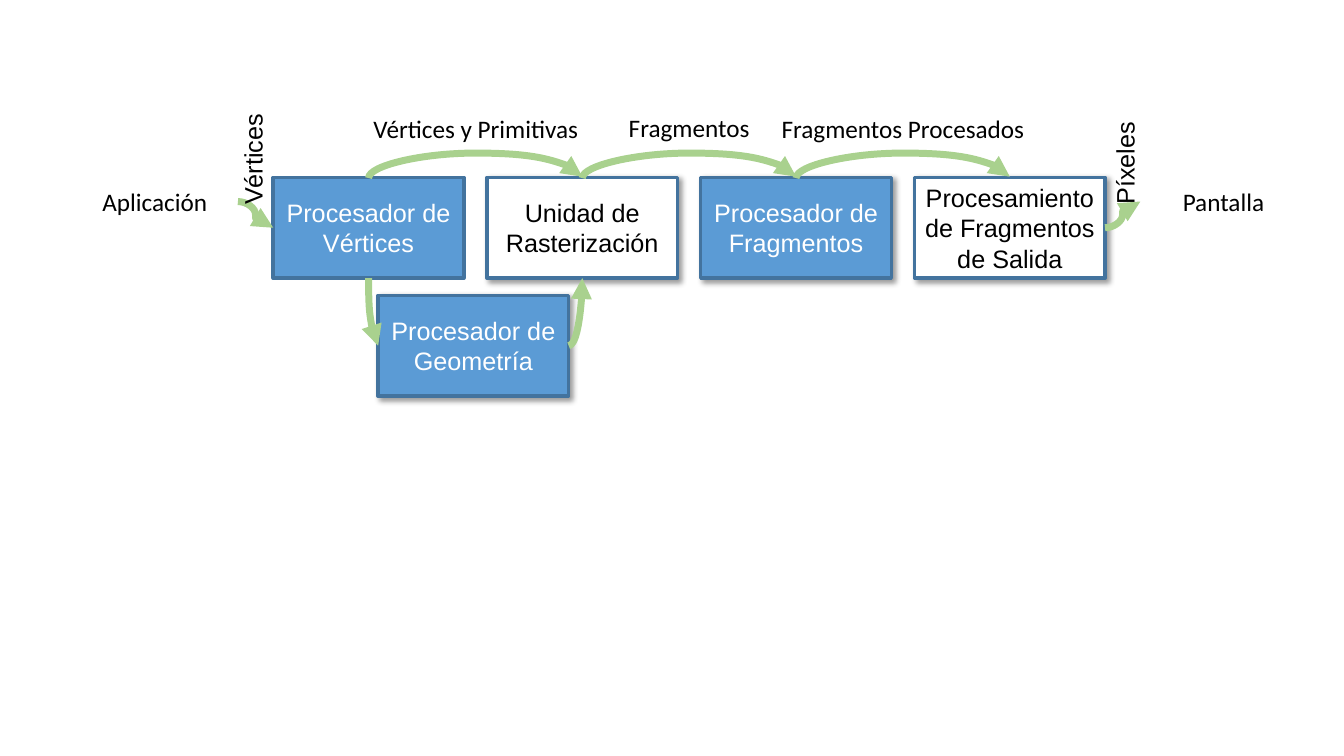
from lxml.etree import SubElement
from pptx import Presentation
from pptx.dml.color import RGBColor
from pptx.enum.shapes import MSO_CONNECTOR as CONNECTOR, MSO_SHAPE as SHAPE
from pptx.enum.text import MSO_ANCHOR as ANCHOR, MSO_AUTO_SIZE as AUTO_SIZE, PP_ALIGN as ALIGN
from pptx.oxml.ns import qn
from pptx.util import Inches, Pt

BLUE, WHITE, BLACK = "5B9BD5", "FFFFFF", "000000"
BORDER, GREEN = "43739E", "A9D18E"
STAGE_W, STAGE_H, PITCH = 1.89, 1, 2.12
FIRST_LEFT, STAGE_TOP = 2.71, 1.76
TOP, LEFT, BOTTOM, RIGHT = range(4)

# name, programmable
STAGES = [
    ("Procesador de Vértices", True),
    ("Unidad de Rasterización", False),
    ("Procesador de Fragmentos", True),
    ("Procesamiento de Fragmentos de Salida", False),
]
GEOMETRY = ("Procesador de Geometría", True)
# name, left
ENDPOINTS = [("Aplicación", 0.71), ("Pantalla", 11.31)]
# text, left, top, width, font, rotation
DATA_LABELS = [
    ("Vértices y Primitivas", 3.59, 1.08, 2.26, "Calibri", 0),
    ("Fragmentos", 6.13, 1.07, 1.41, "Calibri", 0),
    ("Fragmentos Procesados", 7.64, 1.08, 2.63, "Calibri", 0),
    ("Vértices", 1.95, 1.38, 1.11, "Arial", 270),
    ("Píxeles", 10.64, 1.42, 1.03, "Arial", 270),
]


def rgb(code):
    """Turn a hex string into a colour."""
    return RGBColor.from_string(code)


def write(shape, text, font, color):
    """Put one centred 18 pt paragraph in a shape."""
    paragraph = shape.text_frame.paragraphs[0]
    paragraph.text = text
    paragraph.alignment = ALIGN.CENTER
    paragraph.font.size = Pt(18)
    paragraph.font.name = font
    paragraph.font.color.rgb = rgb(color)


def add_shadow(shape):
    """Give a shape a soft shadow towards the lower right."""
    effects = shape._element.spPr.find(qn("a:effectLst"))
    shadow = SubElement(effects, qn("a:outerShdw"), blurRad=str(Pt(4)), dist=str(Pt(3)),
                        dir="2700000", algn="tl", rotWithShape="0")
    color = SubElement(shadow, qn("a:srgbClr"), val=BLACK)
    SubElement(color, qn("a:alpha"), val="40000")


def add_stage(stage, left, top, shadowed=True):
    """Draw a pipeline stage; programmable ones are blue."""
    name, programmable = stage
    box = slide.shapes.add_shape(SHAPE.RECTANGLE, Inches(left), Inches(top),
                                 Inches(STAGE_W), Inches(STAGE_H))
    box.fill.solid()
    box.fill.fore_color.rgb = rgb(BLUE if programmable else WHITE)
    box.line.color.rgb = rgb(BORDER)
    box.line.width = Pt(2.5)
    box.shadow.inherit = False
    if shadowed:
        add_shadow(box)
    box.text_frame.word_wrap = True
    box.text_frame.vertical_anchor = ANCHOR.MIDDLE
    write(box, name, "Arial", WHITE if programmable else BLACK)
    return box


def add_endpoint(name, left):
    """Write the name of a source or destination outside the pipeline."""
    label = slide.shapes.add_textbox(Inches(left), Inches(1.5), Inches(1.65), Inches(1))
    label.text_frame.word_wrap = True
    label.text_frame.vertical_anchor = ANCHOR.MIDDLE
    write(label, name, "Calibri", BLACK)
    return label


def site(shape, side):
    """Return the midpoint of one side of a shape."""
    x = shape.left + {LEFT: 0, RIGHT: shape.width}.get(side, shape.width // 2)
    y = shape.top + {TOP: 0, BOTTOM: shape.height}.get(side, shape.height // 2)
    return x, y


def add_flow(source, source_side, target, target_side, bends=3, turn=0, flips="", bulge=None):
    """Join two shapes with a curved arrow; turn and flips orient the curve."""
    (x1, y1), (x2, y2) = site(source, source_side), site(target, target_side)
    flow = slide.shapes.add_connector(CONNECTOR.CURVE, x1, y1, x2, y2)
    flow.begin_connect(source, source_side)
    flow.end_connect(target, target_side)
    across, down = abs(x2 - x1), abs(y2 - y1)
    width, height = (max(down, Pt(1)), across) if turn else (across, down)
    flow.left, flow.top = (x1 + x2 - width) // 2, (y1 + y2 - height) // 2
    flow.width, flow.height = width, height

    properties = flow._element.spPr
    frame = properties.find(qn("a:xfrm"))
    frame.set("rot", str(turn * 60000))
    for axis in "HV":
        frame.set("flip" + axis, str(int(axis in flips)))
    geometry = properties.find(qn("a:prstGeom"))
    geometry.set("prst", f"curvedConnector{bends}")
    if bulge:
        SubElement(geometry.find(qn("a:avLst")), qn("a:gd"), name="adj1",
                   fmla=f"val {bulge * 100000}")
    flow.line.color.rgb = rgb(GREEN)
    flow.line.width = Pt(5)
    SubElement(flow.line._get_or_add_ln(), qn("a:tailEnd"), type="triangle")
    SubElement(properties, qn("a:effectLst"))


def add_data_label(text, left, top, width, font, rotation):
    """Name the data that an arrow carries."""
    label = slide.shapes.add_textbox(Inches(left), Inches(top), Inches(width), Inches(0.4))
    label.rotation = rotation
    label.text_frame.word_wrap = False
    label.text_frame.auto_size = AUTO_SIZE.SHAPE_TO_FIT_TEXT
    write(label, text, font, BLACK)


deck = Presentation()
deck.slide_width, deck.slide_height = Inches(13.33), Inches(7.5)
slide = deck.slides.add_slide(deck.slide_layouts[6])

stages = [add_stage(stage, FIRST_LEFT + i * PITCH, STAGE_TOP, shadowed=i > 0)
          for i, stage in enumerate(STAGES)]
geometry_stage = add_stage(GEOMETRY, 3.75, 2.93)
application, screen = [add_endpoint(*endpoint) for endpoint in ENDPOINTS]

for before, after in zip(stages, stages[1:]):
    add_flow(before, TOP, after, TOP, turn=90, flips="HV", bulge=18)
add_flow(stages[0], BOTTOM, geometry_stage, LEFT, bends=2, turn=270, flips="H")
add_flow(geometry_stage, RIGHT, stages[1], BOTTOM, bends=2, flips="V")
add_flow(application, RIGHT, stages[0], LEFT)
add_flow(stages[-1], RIGHT, screen, LEFT, flips="V")

for data_label in DATA_LABELS:
    add_data_label(*data_label)

deck.save("out.pptx")
